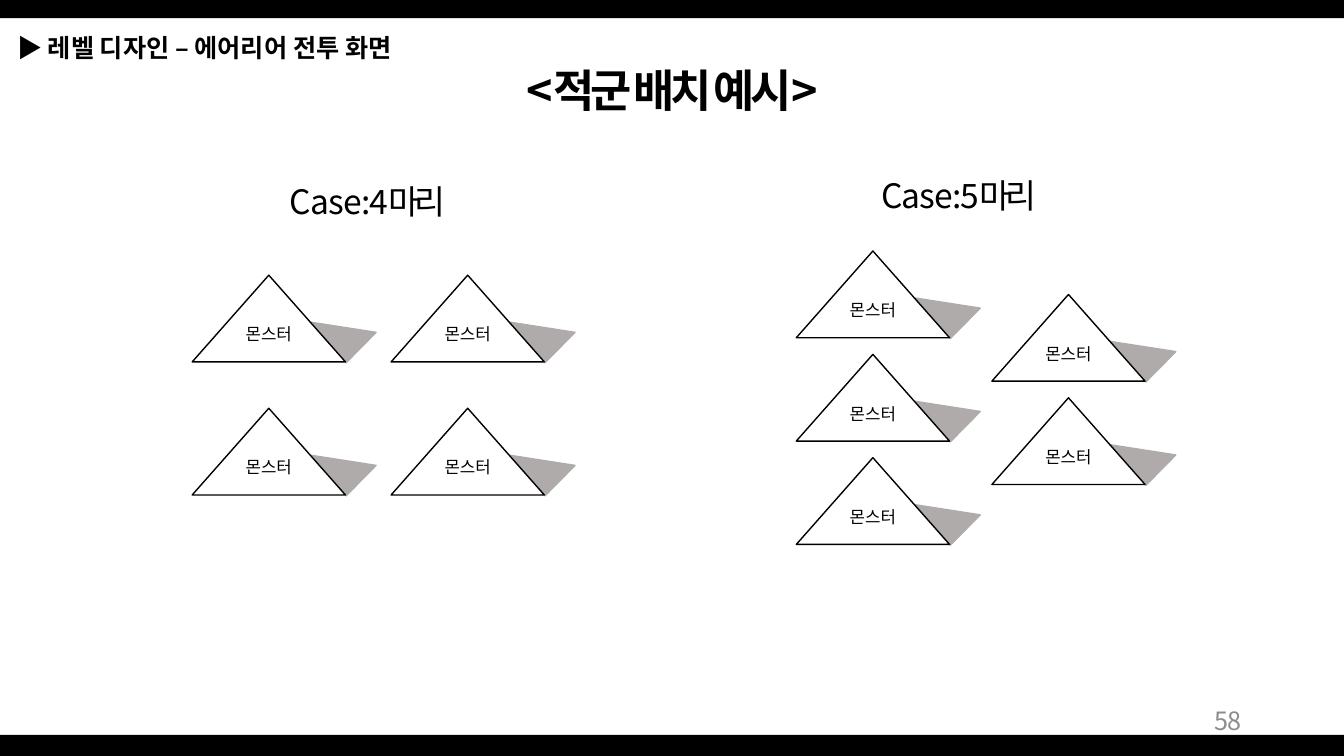
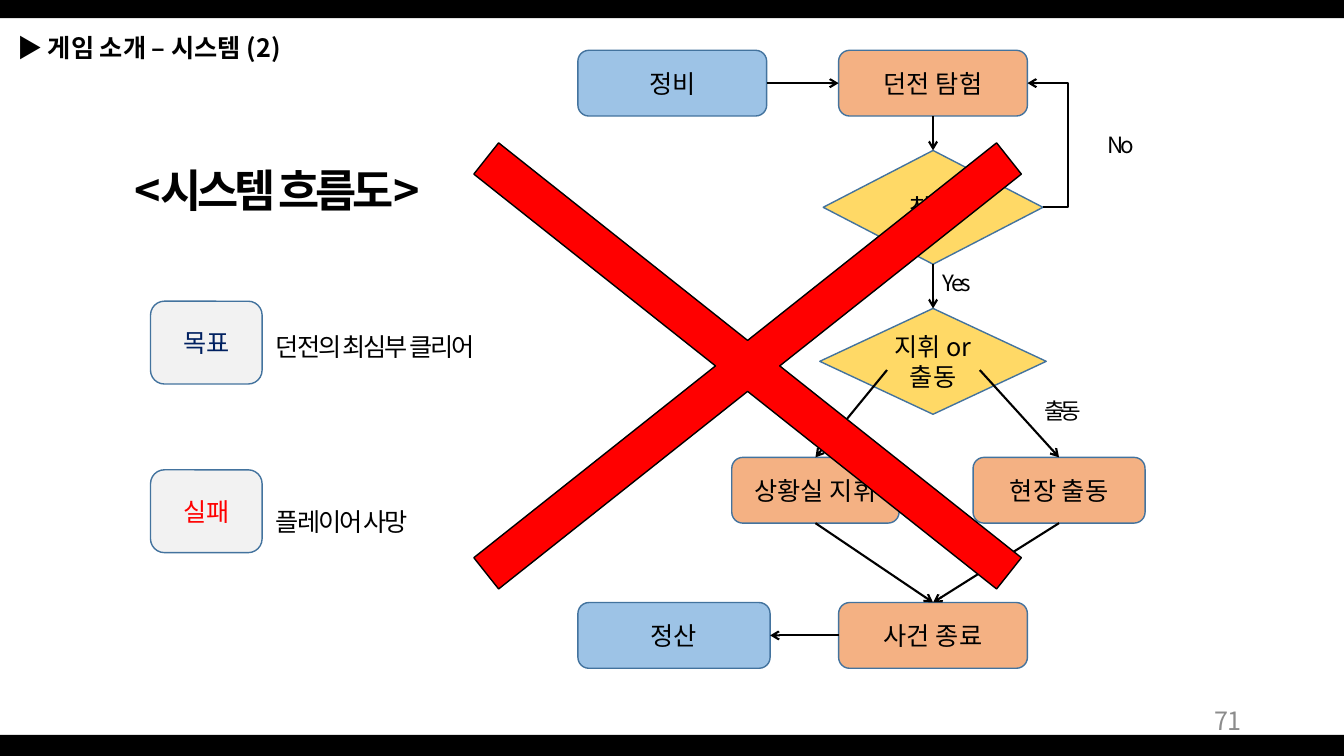
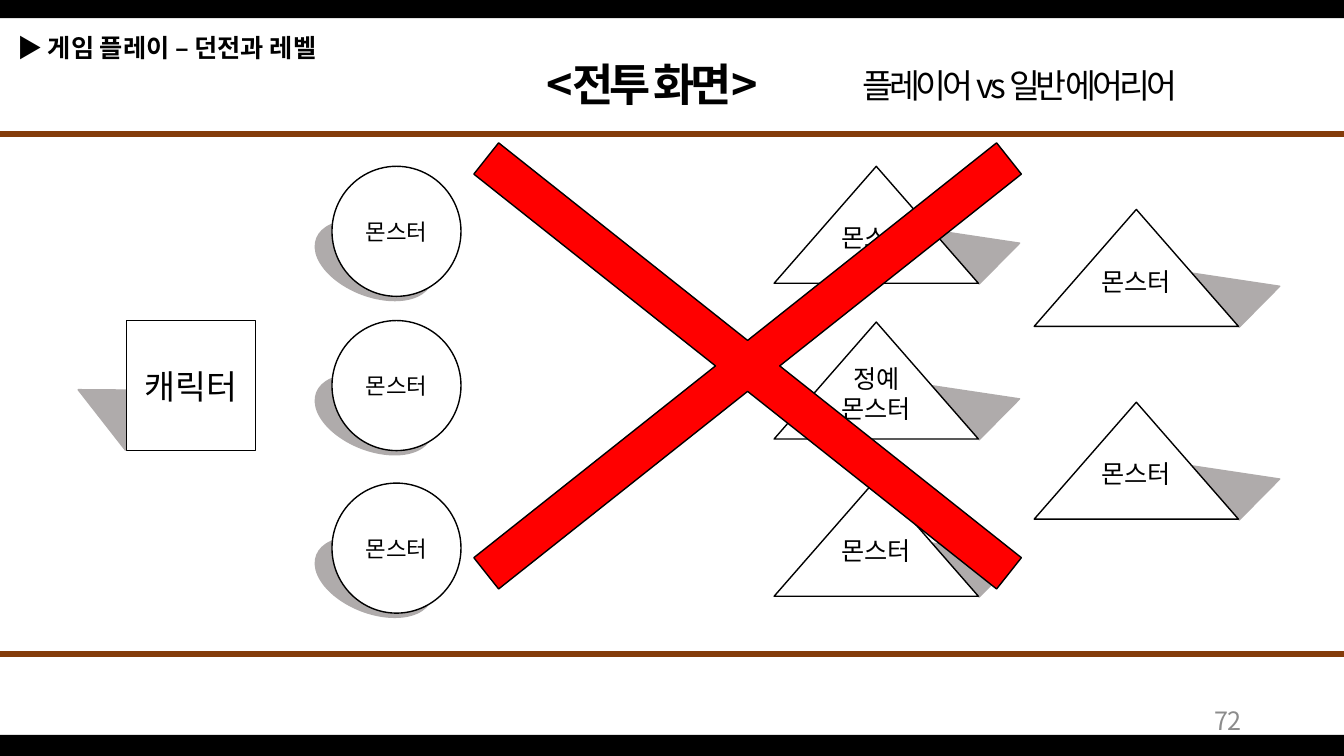
from lxml.etree import SubElement
from pptx import Presentation
from pptx.dml.color import RGBColor as Rgb
from pptx.enum.shapes import MSO_CONNECTOR as Link, MSO_SHAPE as Kind
from pptx.enum.text import MSO_ANCHOR as Anchor, PP_ALIGN as Align
from pptx.oxml.ns import qn
from pptx.util import Inches, Pt

# Shared look
WIDTH, HEIGHT = Inches(13.333), Inches(7.5)
FONT = "Noto Sans CJK KR"
COLORS = {
    "black": "000000", "white": "FFFFFF", "number": "8C8C8C", "shadow": "AFABAB",
    "action": "F4B183", "phase": "9DC3E6", "choice": "FFD966", "panel": "F2F2F2",
    "border": "43739E", "navy": "002060", "red": "FF0000", "rule": "843C0B",
}
TITLE = {"size": Pt(32), "bold": True}
HEADING = {"size": Pt(24)}
BODY = {"size": Pt(18)}
LABEL = {"size": Pt(16)}
SMALL = {"size": Pt(12)}
SECTION = {"size": Pt(18), "bold": True}
TIGHT = -3


# Grid: 100 columns by 100 rows
def col(count):
    return round(WIDTH * count / 100)


def row(count):
    return round(HEIGHT * count / 100)


def place(left, top, width, height):
    return col(left), row(top), col(width), row(height)


def color(name):
    return Rgb.from_string(COLORS[name])


# Text
def add_span(para, text, style, ink="black", spacing=0):
    span = para.add_run()
    span.text = text
    for name, value in style.items():
        setattr(span.font, name, value)
    span.font.color.rgb = color(ink)
    span.font.name = FONT
    props = span.font._element
    props.set("spc", str(round(spacing * 100)))
    SubElement(props, qn("a:ea"), typeface=FONT)


def write(frame, lines, style, ink="black", spacing=0, align=Align.CENTER, leading=None):
    frame.word_wrap = True
    for index, line in enumerate(lines):
        para = frame.add_paragraph() if index else frame.paragraphs[0]
        para.alignment = align
        para.line_spacing = leading
        add_span(para, line, style, ink, spacing)


def add_text(page, area, text, style, **options):
    frame = page.shapes.add_textbox(*place(*area)).text_frame
    write(frame, [text], style, **options)
    return frame


# Shapes
def add_shape(page, kind, area, fill, border=None, turn=0, adjust=None):
    shape = page.shapes.add_shape(kind, *place(*area))
    shape.shadow.inherit = False
    shape.fill.solid()
    shape.fill.fore_color.rgb = color(fill)
    if border:
        shape.line.color.rgb = color(border)
        shape.line.width = Pt(1)
    else:
        shape.line.fill.background()
    shape.rotation = turn
    if adjust is not None:
        shape.adjustments[0] = adjust
    return shape


def add_box(page, kind, area, fill, lines, style=BODY, border="border", ink="black"):
    box = add_shape(page, kind, area, fill, border)
    box.text_frame.vertical_anchor = Anchor.MIDDLE
    write(box.text_frame, lines, style, ink)
    return box


def add_figure(page, kind, area, lines, style, shade, shade_kind, turn, adjust=None):
    """A white figure over a grey shadow; shade gives shares of the figure's size."""
    left, top, width, height = area
    shade_left, shade_top, shade_width, shade_height = shade
    shade_area = (left + shade_left * width, top + shade_top * height,
                  shade_width * width, shade_height * height)
    add_shape(page, shade_kind, shade_area, "shadow", "shadow", turn, adjust)
    return add_box(page, kind, area, "white", lines, style, "black")


def add_enemy(page, area, lines, style, lift):
    enemy = add_figure(page, Kind.ISOSCELES_TRIANGLE, area, lines, style,
                       (0.82, 0.37, 0.35, 0.49), Kind.ISOSCELES_TRIANGLE, 49, 0.94)
    enemy.text_frame.margin_top = 0
    enemy.text_frame.margin_bottom = Inches(lift)


def add_cross(page):
    add_shape(page, Kind.MATH_MULTIPLY, (18.2, -4.4, 74.85, 105.6), "red", "black", adjust=0.05)


# Lines
def add_line(page, start, end, ink="black", weight=1.5, arrow=True, kind=Link.STRAIGHT):
    """Each end is a (column, row) point or a (shape, site) pair."""
    def point(spot):
        return (0, 0) if hasattr(spot[0], "shape_type") else (col(spot[0]), row(spot[1]))

    line = page.shapes.add_connector(kind, *point(start), *point(end))
    for spot, join in ((start, line.begin_connect), (end, line.end_connect)):
        if hasattr(spot[0], "shape_type"):
            join(*spot)
    line.line.color.rgb = color(ink)
    line.line.width = Pt(weight)
    props = line._element.spPr
    if arrow:
        SubElement(props.find(qn("a:ln")), qn("a:tailEnd"), type="arrow")
    SubElement(props, qn("a:effectLst"))
    return line


# Page frame: bands, section label, title, number
def add_page(deck, section, title, title_area, number):
    page = deck.slides.add_slide(deck.slide_layouts[6])
    for top, height in ((0, 2.4), (97.2, 2.8)):
        add_shape(page, Kind.RECTANGLE, (0, top, 100, height), "black")
    label = add_text(page, (0.6, 3.6, 35.3, 5.3), "▶ ", BODY, spacing=-0.7, align=Align.LEFT)
    add_span(label.paragraphs[0], section, SECTION)
    add_text(page, title_area, title, TITLE, spacing=TIGHT)
    footer = add_text(page, (70.65, 92.67, 22.5, 5.33), number, BODY,
                      ink="number", align=Align.RIGHT)
    footer.vertical_anchor = Anchor.MIDDLE
    return page


def build_placement(deck):
    page = add_page(deck, "레벨 디자인 – 에어리어 전투 화면", "<적군 배치 예시>",
                    (33.7, 7.6, 32.7, 8.5), "58")
    for area, text in (((19.95, 23.3, 14.85, 6.7), "C a s e : 4마리"),
                       ((64.3, 22.5, 14.1, 6.7), "C a s e : 5마리")):
        add_text(page, area, text, HEADING, spacing=TIGHT)
    # Enemy columns: left, first top, step, count
    for left, top, step, count in ((14.3, 36.4, 17.6, 2), (29.1, 36.4, 17.6, 2),
                                   (59.25, 33.2, 13.67, 3), (73.8, 38.95, 13.67, 2)):
        for index in range(count):
            add_enemy(page, (left, top + index * step, 11.4, 11.47), ["몬스터"], SMALL, 0.12)


def build_flow(deck):
    page = add_page(deck, "게임 소개 – 시스템 (2)", "<시스템 흐름도>",
                    (7.65, 20.9, 25.95, 8.5), "71")

    # Flow steps
    def step(left, top, width, fill, text):
        return add_box(page, Kind.ROUNDED_RECTANGLE, (left, top, width, 8.7), fill, [text])

    upper, middle, lower = 6.65, 60.5, 79.7
    dispatch = step(72.4, middle, 12.8, "action", "현장 출동")
    command = step(54.45, middle, 12.45, "action", "상황실 지휘")
    explore = step(62.4, upper, 14.05, "action", "던전 탐험")
    finish = step(62.4, lower, 14.05, "action", "사건 종료")
    prepare = step(43, upper, 14.05, "phase", "정비")
    settle = step(43, lower, 14.3, "phase", "정산")
    begin = add_box(page, Kind.DIAMOND, (61.25, 19.9, 16.35, 15.05), "choice", ["착수"])
    choose = add_box(page, Kind.DIAMOND, (61, 40.8, 16.85, 14), "choice", ["지휘 or 출동"])

    # Arrows
    for start, end in (((prepare, 3), (explore, 1)), ((explore, 2), (begin, 0)),
                       ((begin, 2), (choose, 0)), ((66, 48.95), (command, 0)),
                       ((72.9, 48.95), (dispatch, 0)), ((dispatch, 2), (finish, 0)),
                       ((command, 2), (finish, 0)), ((finish, 1), (settle, 3))):
        add_line(page, start, end)
    retry = add_line(page, (77.6, 27.4), (76.45, 11), kind=Link.ELBOW)
    bends = retry._element.spPr.find(qn("a:prstGeom")).find(qn("a:avLst"))
    SubElement(bends, qn("a:gd"), name="adj1", fmla="val -165000")
    for left, top, text in ((68.4, 34.9, "Y e s"), (80.6, 16.7, "N o"),
                            (57.3, 52.1, "지휘"), (76.3, 51.9, "출동")):
        add_text(page, (left, top, 5.55, 4.95), text, LABEL, spacing=TIGHT)

    # Goal and failure
    for top, text_top, name, ink, text in (
            (39.85, 41.2, "목표", "navy", "던전의 최심부 클리어"),
            (62.15, 64.25, "실패", "red", "플레이어 사망")):
        add_box(page, Kind.ROUNDED_RECTANGLE, (11.2, top, 8.3, 10.95), "panel", [name], ink=ink)
        add_text(page, (19.8, text_top, 19.3, 7.5), text, BODY,
                 spacing=-1.5, align=Align.LEFT, leading=1.5)
    add_cross(page)


def build_battle(deck):
    page = add_page(deck, "게임 플레이 – 던전과 레벨", "<전투 화면>",
                    (35.85, 6.8, 25.35, 8.5), "72")
    add_text(page, (62, 7.9, 27.75, 6.7), "플레이어 vs 일반 에어리어", HEADING, spacing=TIGHT)
    for top in (17.75, 86.55):
        add_line(page, (0, top), (100, top), "rule", 4.5, arrow=False)

    # Player side
    add_figure(page, Kind.RECTANGLE, (9.4, 42.4, 9.6, 17.2), ["캐릭터"], HEADING,
               (-0.27, 0.24, 0.75, 0.59), Kind.ISOSCELES_TRIANGLE, 322, 0)
    for top in (22, 42.4, 63.9):
        add_figure(page, Kind.OVAL, (24.7, top, 9.6, 17.2), ["몬스터"], LABEL,
                   (-0.15, 0.45, 0.95, 0.55), Kind.OVAL, 21.1)

    # Enemy side
    for left, top, lines in ((57.6, 22, ["몬스터"]), (57.6, 42.6, ["정예", "몬스터"]),
                             (57.6, 63.4, ["몬스터"]), (76.95, 27.7, ["몬스터"]),
                             (76.95, 53.2, ["몬스터"])):
        add_enemy(page, (left, top, 15.2, 15.47), lines, BODY, 0.32)
    add_cross(page)


def main():
    deck = Presentation()
    deck.slide_width, deck.slide_height = WIDTH, HEIGHT
    for build in (build_placement, build_flow, build_battle):
        build(deck)
    deck.save("out.pptx")


if __name__ == "__main__":
    main()
